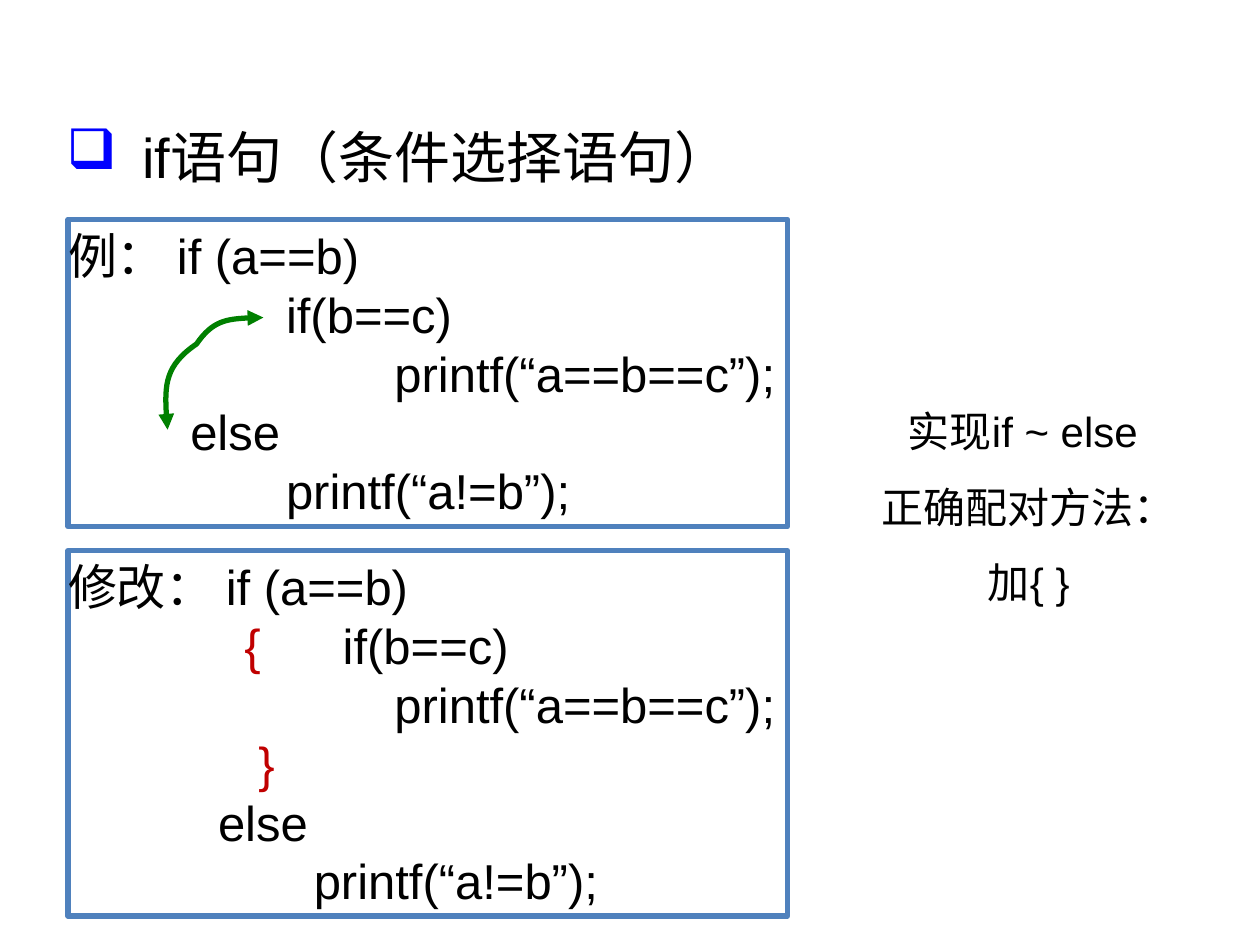
import pptx
import pptx.util
import pptx.dml.color
import pptx.enum.shapes
import pptx.enum.text
import pptx.oxml.ns
import lxml.etree

Inches, Pt = pptx.util.Inches, pptx.util.Pt
qn = pptx.oxml.ns.qn

HUES = {"ink": "000000", "mark": "0000FF", "brace": "C00000",
        "edge": "4F81BD", "arc": "008000", "page": "FFFFFF"}
FONT = "Arial"

TITLE = "if语句（条件选择语句）"
NOTE = ["实现if ~ else ", "正确配对方法：", "加{ }"]

CODE = [
    (1.74, 2.44, [
        [(0, "例： if (a==b)", "ink")],
        [(1.73, "if(b==c)", "ink")],
        [(2.59, "printf(“a==b==c”);", "ink")],
        [(0.97, "else", "ink")],
        [(1.73, "printf(“a!=b”);", "ink")],
    ]),
    (4.37, 2.9, [
        [(0, "修改： if (a==b)", "ink")],
        [(1.4, "{", "brace"), (2.18, "if(b==c)", "ink")],
        [(2.59, "printf(“a==b==c”);", "ink")],
        [(1.51, "}", "brace")],
        [(1.19, "else", "ink")],
        [(1.95, "printf(“a!=b”);", "ink")],
    ]),
]

ARC = [(1.33, 3.41),
       (1.3, 3.11), (1.31, 2.9), (1.56, 2.73),
       (1.69, 2.54), (1.87, 2.52), (2.09, 2.52)]


def tint(name):
    return pptx.dml.color.RGBColor.from_string(HUES[name])


def add_run(para, text, size, hue="ink"):
    run = para.add_run()
    run.text = text
    run.font.name = FONT
    run.font.size = Pt(size)
    run.font.color.rgb = tint(hue)


def add_child(node, tag, **attrs):
    return lxml.etree.SubElement(node, qn(tag), attrs)


def paras(frame, items):
    for i, item in enumerate(items):
        yield (frame.add_paragraph() if i else frame.paragraphs[0]), item


def set_line(shape, hue):
    shape.shadow.inherit = False
    shape.line.color.rgb = tint(hue)
    shape.line.width = Pt(3)


def add_text(slide, *place):
    frame = slide.shapes.add_textbox(*map(Inches, place)).text_frame
    frame.word_wrap = True
    return frame


def add_code(slide, top, height, lines):
    kind = pptx.enum.shapes.MSO_SHAPE.RECTANGLE
    box = slide.shapes.add_shape(
        kind, Inches(0.54), Inches(top), Inches(5.71), Inches(height))
    box.fill.solid()
    box.fill.fore_color.rgb = tint("page")
    set_line(box, "edge")
    frame = box.text_frame
    frame.word_wrap = True
    frame.margin_left = frame.margin_right = 0
    frame.vertical_anchor = pptx.enum.text.MSO_ANCHOR.TOP
    for para, parts in paras(frame, lines):
        para.alignment = pptx.enum.text.PP_ALIGN.LEFT
        tabs = add_child(para._p.get_or_add_pPr(), "a:tabLst")
        for stop, text, hue in parts:
            if stop:
                add_child(tabs, "a:tab", pos=str(Inches(stop)), algn="l")
            add_run(para, "\t" + text if stop else text, 28, hue)


def add_note(slide):
    frame = add_text(slide, 6.9, 2.97, 2.53, 1.9)
    frame.vertical_anchor = pptx.enum.text.MSO_ANCHOR.MIDDLE
    for para, text in paras(frame, NOTE):
        para.alignment = pptx.enum.text.PP_ALIGN.CENTER
        para.line_spacing = 1.5
        add_run(para, text, 24)


def add_arc(slide):
    spots = [(Inches(x), Inches(y)) for x, y in ARC]
    pen = slide.shapes.build_freeform(*spots[0])
    pen.add_line_segments(spots[1:], close=False)
    arc = pen.convert_to_shape()
    arc.fill.background()
    set_line(arc, "arc")
    legs = list(arc._element.iter(qn("a:lnTo")))
    trace = legs[0].getparent()
    for i in range(0, len(legs), 3):
        curve = add_child(trace, "a:cubicBezTo")
        for leg in legs[i:i + 3]:
            curve.append(leg[0])
            trace.remove(leg)
    for tag in ("a:headEnd", "a:tailEnd"):
        add_child(arc.line._get_or_add_ln(), tag, type="triangle")


def add_title(slide):
    para = add_text(slide, 0.43, 0.92, 7.17, 0.64).paragraphs[0]
    para.space_before = Pt(8)
    props = para._p.get_or_add_pPr()
    props.set("marL", str(Inches(0.6)))
    props.set("indent", str(-Inches(0.6)))
    add_child(add_child(props, "a:buClr"), "a:srgbClr", val=HUES["mark"])
    add_child(props, "a:buChar", char="❑")
    add_run(para, TITLE, 32)


def main():
    deck = pptx.Presentation()
    deck.slide_width, deck.slide_height = Inches(10), Inches(7.5)
    slide = deck.slides.add_slide(deck.slide_layouts[6])
    for top, height, lines in CODE:
        add_code(slide, top, height, lines)
    add_note(slide)
    add_arc(slide)
    add_title(slide)
    deck.save("out.pptx")


if __name__ == "__main__":
    main()
